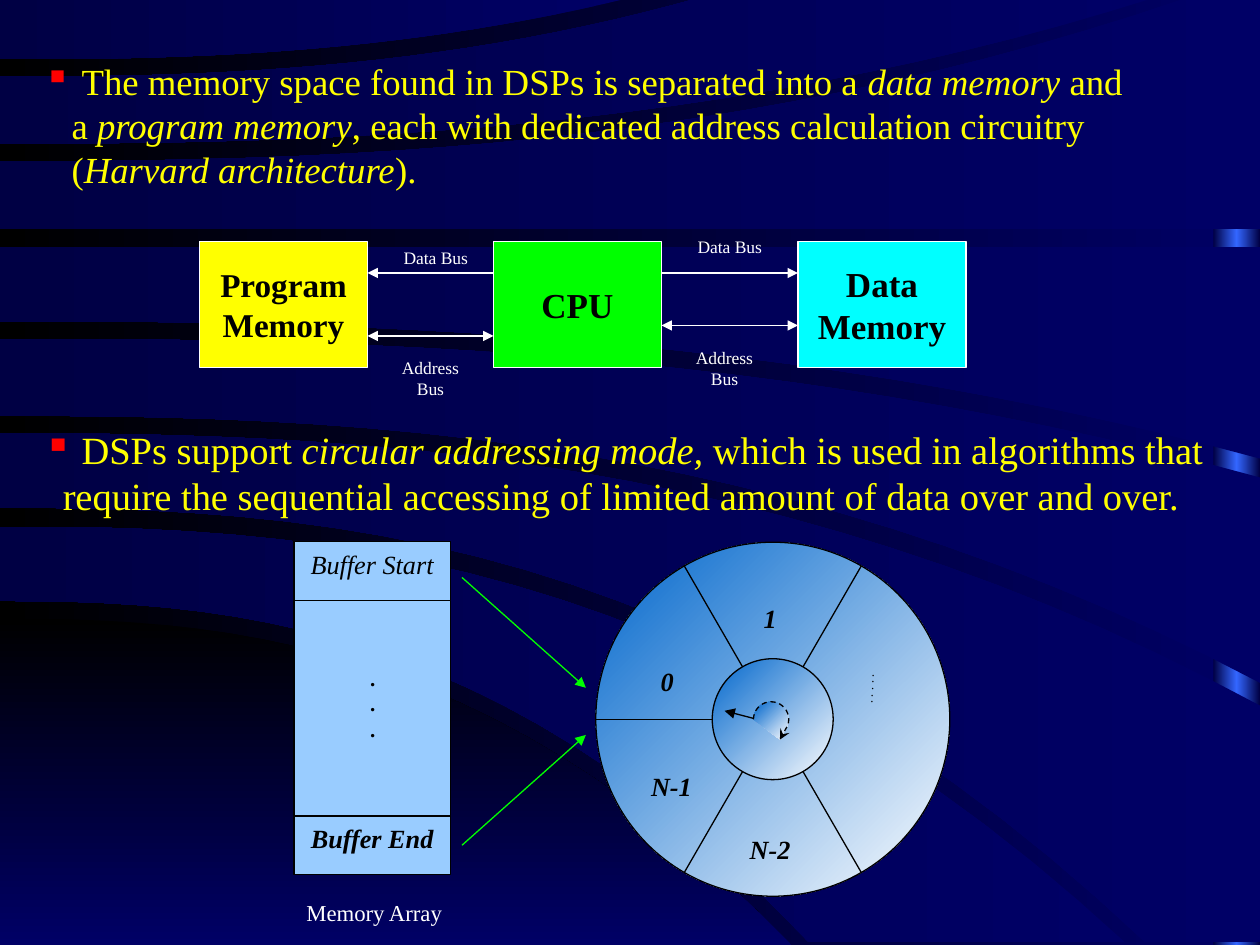
"""Build a slide on DSP memory spaces and circular addressing."""
import copy
import math
from lxml import etree
from pptx import Presentation, util as u
from pptx.dml.color import RGBColor
from pptx.enum import dml, shapes, text
from pptx.oxml.ns import qn

THEME = {
    "font": "Times New Roman", "dot_font": "Montserrat",
    "navy": "000066", "deep": "000044", "black": "000000", "white": "FFFFFF",
    "glow": "3366FF", "yellow": "FFFF00", "green": "00FF00", "cyan": "00FFFF",
    "red": "FF0000", "sky": "99CCFF", "ocean": "0066CC",
    "first": 21, "second": 22, "program": 19, "block": 20,
    "bus": 10, "item": 15, "dots": 12, "tiny": 8, "caption": 13, "line": 0.75,
}
SLIDE = (10, 7.5)
GRID = 1 / 12
BEND, STEPS = 2.5, 24

CORNER = ((4.91, 6.28, 7.5), (7.5, 6.28, 7.5))
STREAMS = [
    ((4.18, 8.93, 7.48), (4.77, 6.42, 7.48)),
    ((3.44, 10, 5.6), (4.03, 9.09, 7.48)),
    ((2.69, 10, 3.79), (3.3, 10, 5.42)),
    ((1.96, 10, 1.96), (2.55, 10, 3.64)),
    ((1.28, 9.43, -0.02), (1.82, 10, 1.82)),
    ((0.61, 5.56, -0.02), (1.14, 9.17, -0.02)),
    ((-0.02, 5.01, -0.02), (0.47, 5.01, -0.02)),
]
BULLETS = [
    ((3, 5, 113, 14), "first", "TOP", 0.22,
     ["The memory space found in DSPs is separated into a *data memory* and",
      "a *program memory*, each with dedicated address calculation circuitry",
      "(*Harvard architecture*)."]),
    ((3, 41, 115, 8), "second", "MIDDLE", 0.15,
     ["DSPs support *circular addressing mode,* which is used in algorithms that",
      "require the sequential accessing of limited amount of data over and over."]),
]
BLOCKS = [(19, "yellow", "program", ["Program", "Memory"]),
          (47, "green", "block", ["CPU"]),
          (76, "cyan", "block", ["Data", "Memory"])]
BUSES = [(47, 35, 26, False), (35, 47, 32, True), (63, 76, 31, True), (63, 76, 26, False)]
BUS_LABELS = [((65, 22, 9, 3), ["Data Bus"]), ((63, 33, 12, 4), ["Address", "Bus"]),
              ((35, 34, 12, 4), ["Address", "Bus"]), ((37, 23, 9, 3), ["Data Bus"])]
RING, HUB, RING_CENTRE = 16.86, 5.76, (73.6, 68.5)
SPOKES = range(60, 301, 60)
SECTORS = [(60.2, 62.8, "0"), (60.6, 72.8, "N-1"), (70, 78.8, "N-2"), (70, 56.8, "1")]
BUFFER = [((28, 51.6, 14.9, 31.7), [], {}, True),
          ((28, 51.6, 14.9, 5.6), ["*Buffer Start*"], {"size": "item"}, True),
          ((28, 77.7, 14.9, 5.6), ["*Buffer End*"], {"size": "item", "bold": True}, True),
          ((29.3, 62.8, 12.4, 11.1), [".", ".", "."], {"size": "dots", "bold": True}, False)]
LINKS = [((44, 80.5), (55.8, 70)), ((44, 55), (55.8, 65.5))]

prs = Presentation()
prs.slide_width, prs.slide_height = map(u.Inches, SLIDE)
s = prs.slides.add_slide(prs.slide_layouts[6])


def rgb(name):
    return RGBColor.from_string(THEME[name])


def cells(values):
    return [u.Inches(v * GRID) for v in values]


def gradient(fill, colors, angle):
    fill.gradient()
    fill.gradient_angle = angle
    for stop, name in zip(fill.gradient_stops, colors):
        stop.color.rgb = rgb(name)


def outline(sp, color, **fmt):
    sp.line.color.rgb = rgb(color)
    for key, value in {"width": u.Pt(THEME["line"]), **fmt}.items():
        setattr(sp.line, key, value)


def arrowhead(sp, *ends, kind="triangle"):
    ln = sp._element.spPr.find(qn("a:ln"))
    for end in ends:
        etree.SubElement(ln, qn(f"a:{end}"), type=kind)


def connect(start, end, color, *ends):
    sp = s.shapes.add_connector(shapes.MSO_CONNECTOR.STRAIGHT, *cells(start), *cells(end))
    outline(sp, color)
    arrowhead(sp, *ends)
    etree.SubElement(sp._element.spPr, qn("a:effectLst"))


def edge(start_y, end_x, end_y):
    shares = [n / STEPS for n in range(STEPS + 1)]
    return [(end_x * t, start_y + (end_y - start_y) * t ** BEND) for t in shares]


def stream(upper, lower):
    tip_x = max(upper[1], lower[1])
    tip_y = min(upper[1:], lower[1:])[1]
    return freeform(edge(*upper) + [(tip_x, tip_y)] + edge(*lower)[::-1])


def freeform(points, close=True):
    pts = [(u.Inches(x), u.Inches(y)) for x, y in points]
    builder = s.shapes.build_freeform(*pts[0], scale=1.0)
    builder.add_line_segments(pts[1:], close=close)
    sp = builder.convert_to_shape()
    sp.shadow.inherit = False
    sp.line.fill.background()
    return sp


def shape(kind, box, fill=None, line=None):
    sp = s.shapes.add_shape(kind, *cells(box))
    sp.shadow.inherit = False
    if fill:
        sp.fill.solid()
        sp.fill.fore_color.rgb = rgb(fill)
    if line:
        outline(sp, line)
    else:
        sp.line.fill.background()
    return sp


def write(sp, lines, size, color="black", bold=False, align="CENTER", anchor="TOP",
          wrap=True, font="font", hang=None):
    tf = sp.text_frame
    tf.word_wrap, tf.vertical_anchor = wrap, text.MSO_ANCHOR[anchor]
    for n, line in enumerate(lines):
        p = tf.add_paragraph() if n else tf.paragraphs[0]
        p.alignment = text.PP_ALIGN[align]
        if hang is not None:
            pPr = p._p.get_or_add_pPr()
            pPr.set("marL", str(u.Inches(hang if n else 0.3)))
            pPr.set("indent", str(u.Inches(0 if n else -0.3)))
            if not n:
                bullet_color = etree.SubElement(pPr, qn("a:buClr"))
                etree.SubElement(bullet_color, qn("a:srgbClr"), val=THEME["red"])
                etree.SubElement(pPr, qn("a:buChar"), char="▪")
        for k, part in enumerate(line.split("*")):
            if part:
                r = p.add_run()
                r.text = part
                fmt = {"name": THEME[font], "size": u.Pt(THEME[size]), "bold": bold, "italic": k % 2 == 1}
                for key, value in fmt.items():
                    setattr(r.font, key, value)
                r.font.color.rgb = rgb(color)


def label(box, lines, size, **fmt):
    sp = s.shapes.add_textbox(*cells(box))
    write(sp, lines, size, **fmt)
    return sp


def polar(centre, radius, degrees):
    a = math.radians(degrees)
    return centre[0] + radius * math.cos(a), centre[1] - radius * math.sin(a)


RECT, OVAL = shapes.MSO_SHAPE.RECTANGLE, shapes.MSO_SHAPE.OVAL
gradient(s.background.fill, ["navy", "black"], 180)
strip = shape(RECT, (115.56, 0, 4.44, 90))
gradient(strip.fill, ["deep", "deep"], 180)
first_stop = strip._element.spPr.find(".//" + qn("a:gs"))
middle = copy.deepcopy(first_stop)
middle.set("pos", "50000")
middle[0].set("val", THEME["glow"])
first_stop.addnext(middle)
gradient(stream(*CORNER).fill, ["black", "navy"], 270)
for edges in STREAMS:
    gradient(stream(*edges).fill, ["navy", "deep"], 180)

for box, size, anchor, hang, lines in BULLETS:
    label(box, lines, size, color="yellow", align="LEFT", anchor=anchor, hang=hang)

for x, color, size, lines in BLOCKS:
    write(shape(RECT, (x, 23, 16, 12), color, "white"), lines, size, bold=True, anchor="MIDDLE", wrap=False)
for x1, x2, y, both in BUSES:
    connect((x1, y), (x2, y), "white", *(["headEnd"] if both else []), "tailEnd")
for box, lines in BUS_LABELS:
    label(box, lines, "bus", color="white", anchor="MIDDLE", wrap=False)

for radius in (RING, HUB):
    disc = shape(OVAL, (*(c - radius for c in RING_CENTRE), 2 * radius, 2 * radius), line="black")
    gradient(disc.fill, ["white", "ocean"], 135)
for angle in SPOKES:
    connect(polar(RING_CENTRE, RING, angle), polar(RING_CENTRE, HUB, angle), "black")
connect((73.6, 68.9), (69, 67.7), "black", "tailEnd")
turn = [polar((6.12, 5.71), 0.14, a) for a in range(180, -21, -10)] + [(6.19, 5.87)]
arc = freeform(turn, close=False)
gradient(arc.fill, ["white", "ocean"], 135)
outline(arc, "black", dash_style=dml.MSO_LINE.DASH)
arrowhead(arc, "tailEnd", kind="stealth")
for x, y, name in SECTORS:
    label((x, y, 6.7, 4), [f"*{name}*"], "item", bold=True)
dots = label((72.7, 62.8, 12.1, 12.1), [". . . . ."], "tiny", font="dot_font", align="LEFT", wrap=False)
dots.rotation = 92.9

for box, lines, fmt, framed in BUFFER:
    cell = shape(RECT, box, "sky", "black" if framed else None)
    if lines:
        write(cell, lines, **fmt)
for start, end in LINKS:
    connect(start, end, "green", "tailEnd")
label((28, 85, 16, 5), ["Memory Array"], "caption", color="white", align="LEFT")

prs.save("out.pptx")
